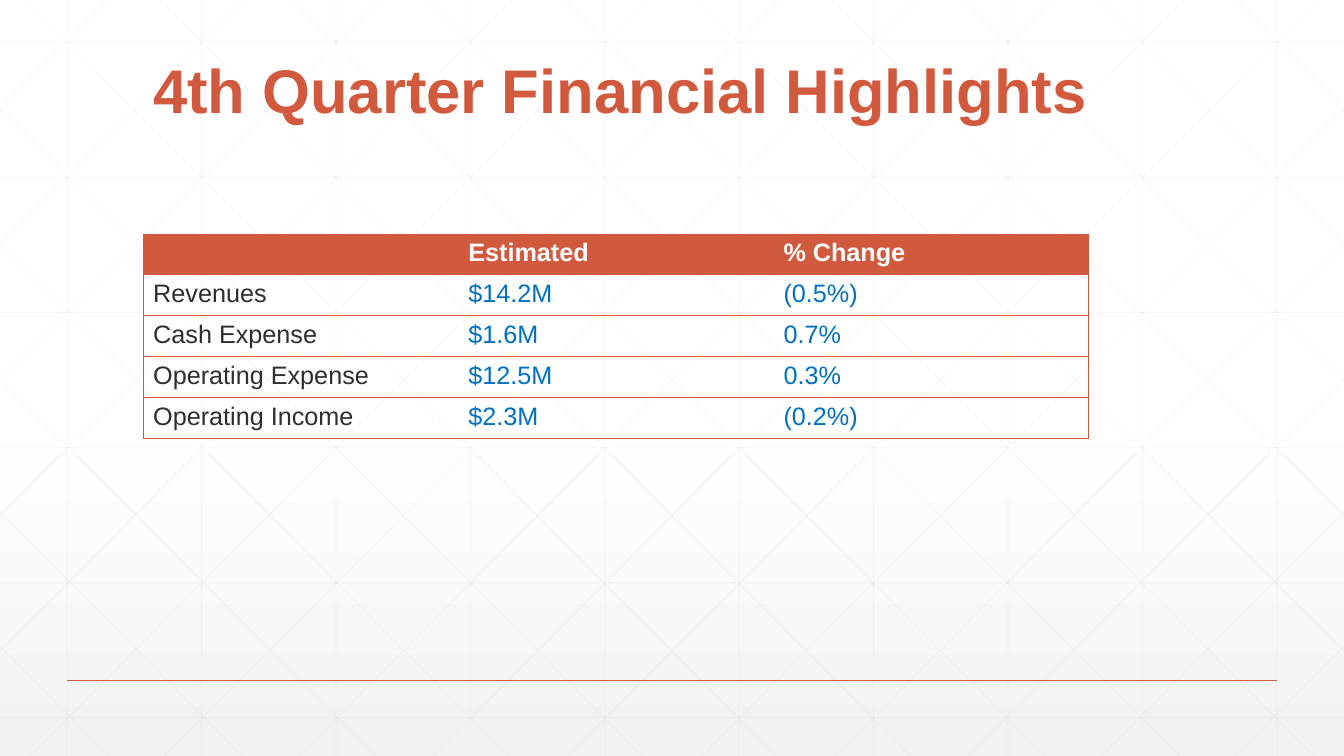
from dataclasses import dataclass

from lxml.etree import SubElement
from pptx import Presentation
from pptx.dml.color import RGBColor
from pptx.enum.shapes import MSO_CONNECTOR as Link
from pptx.enum.text import MSO_ANCHOR as Anchor
from pptx.oxml.ns import qn
from pptx.util import Inches, Pt

RUST = RGBColor(0xD1, 0x5A, 0x3E)
WHITE = RGBColor(0xFF, 0xFF, 0xFF)
MIST = RGBColor(0xF2, 0xF2, 0xF2)
GRAY = RGBColor(0xD9, 0xD9, 0xD9)
INK = RGBColor(0x2D, 0x2E, 0x2D)
BLUE = RGBColor(0x00, 0x70, 0xC0)
FONT = "Arial"

# All places below are percent shares of the slide's width and height.
WIDE, HIGH = Inches(13.33), Inches(7.5)
COL, ROW = 10, 17.87
SPAN = 55.88  # width that a full diagonal covers

ROWS = [
    ("", "Estimated", "% Change"),
    ("Revenues", "$14.2M", "(0.5%)"),
    ("Cash Expense", "$1.6M", "0.7%"),
    ("Operating Expense", "$12.5M", "0.3%"),
    ("Operating Income", "$2.3M", "(0.2%)"),
]


@dataclass(frozen=True)
class Box:
    """A frame in percent of the slide."""
    x: float
    y: float
    w: float
    h: float

    def emu(self) -> tuple[int, int, int, int]:
        """Give left, top, width and height in EMU."""
        return across(self.x), down(self.y), across(self.w), down(self.h)


@dataclass(frozen=True)
class Line:
    """A line between two points in percent of the slide."""
    x1: float
    y1: float
    x2: float
    y2: float

    def flip(self) -> "Line":
        """Mirror the line left to right."""
        return Line(100 - self.x1, self.y1, 100 - self.x2, self.y2)


TITLE = Box(10.65, 7.33, 74.1, 16.67)
TABLE = Box(10.65, 30.93, 70.35, 27.07)
FOOT = Line(5, 90, 95, 90)


def across(part: float) -> int:
    """Turn a share of the width into EMU."""
    return round(WIDE * part / 100)


def down(part: float) -> int:
    """Turn a share of the height into EMU."""
    return round(HIGH * part / 100)


def mesh() -> list[Line]:
    """Work out the background grid with its diagonals."""
    cols = [Line(5 + COL * i, 0, 5 + COL * i, 100) for i in range(10)]
    rows = [Line(0, 5.6 + ROW * i, 100, 5.6 + ROW * i) for i in range(6)]
    slant = []
    for i in range(10):
        x = 1.88 + COL * i
        run = min(SPAN, 100 - x)
        slant.append(Line(x, 0, x + run, 100 * run / SPAN))
    for i in range(5):
        x = 47.78 - 9.92 * i
        slant.append(Line(x, 100, 0, 100 - 100 * x / SPAN))
    return cols + rows + slant + [line.flip() for line in slant]


def draw(slide, line: Line, color: RGBColor, size: float, alpha: int = 100) -> None:
    """Draw one straight line, with alpha in percent."""
    link = slide.shapes.add_connector(
        Link.STRAIGHT, across(line.x1), down(line.y1), across(line.x2), down(line.y2))
    link.line.color.rgb = color
    link.line.width = Pt(size)
    props = link._element.spPr
    if alpha < 100:
        tone = next(props.iter(qn("a:srgbClr")))
        SubElement(tone, qn("a:alpha"), val=str(alpha * 1000))
    SubElement(props, qn("a:effectLst"))


def write(frame, text: str, *, size: float, color: RGBColor,
          bold: bool = False, lead: float = 1) -> None:
    """Put formatted text in a frame."""
    para = frame.paragraphs[0]
    para.line_spacing = lead
    run = para.add_run()
    run.text = text
    font = run.font
    font.name, font.size, font.bold = FONT, Pt(size), bold
    font.color.rgb = color


def edge(cell, sides: str) -> None:
    """Rule the named sides of a cell and clear the others."""
    props = cell._tc.get_or_add_tcPr()
    for i, side in enumerate("LRTB"):
        rule = SubElement(props, qn(f"a:ln{side}"), w=str(Pt(0.5)))
        props.remove(rule)
        props.insert(i, rule)
        if side in sides:
            fill = SubElement(rule, qn("a:solidFill"))
            SubElement(fill, qn("a:srgbClr"), val=str(RUST))
        else:
            SubElement(rule, qn("a:noFill"))


def tabulate(slide, box: Box) -> None:
    """Add the table of results."""
    table = slide.shapes.add_table(len(ROWS), len(ROWS[0]), *box.emu()).table
    table.horz_banding = False
    for r, row in enumerate(ROWS):
        for c, text in enumerate(row):
            cell = table.cell(r, c)
            head = r == 0
            if head:
                cell.fill.solid()
                cell.fill.fore_color.rgb = RUST
            else:
                cell.fill.background()
            color = WHITE if head else BLUE if c else INK
            write(cell.text_frame, text, size=18, color=color, bold=head)
            edge(cell, "TB" + {0: "L", len(row) - 1: "R"}.get(c, ""))


def shade(slide) -> None:
    """Fade the background from white to mist in its lower half."""
    fill = slide.background.fill
    fill.gradient()
    fill.gradient_angle = 270
    for stop, (place, color) in zip(fill.gradient_stops, [(0.53, WHITE), (1, MIST)]):
        stop.position, stop.color.rgb = place, color


def main() -> None:
    """Build and save the slide."""
    deck = Presentation()
    deck.slide_width, deck.slide_height = WIDE, HIGH
    slide = deck.slides.add_slide(deck.slide_layouts[6])
    shade(slide)
    for line in mesh():
        draw(slide, line, GRAY, 0.5, alpha=25)
    draw(slide, FOOT, RUST, 1)
    tabulate(slide, TABLE)
    frame = slide.shapes.add_textbox(*TITLE.emu()).text_frame
    frame.word_wrap = True
    frame.vertical_anchor = Anchor.TOP
    write(frame, "4th Quarter Financial Highlights", size=44, color=RUST,
          bold=True, lead=0.9)
    deck.save("out.pptx")


main()
